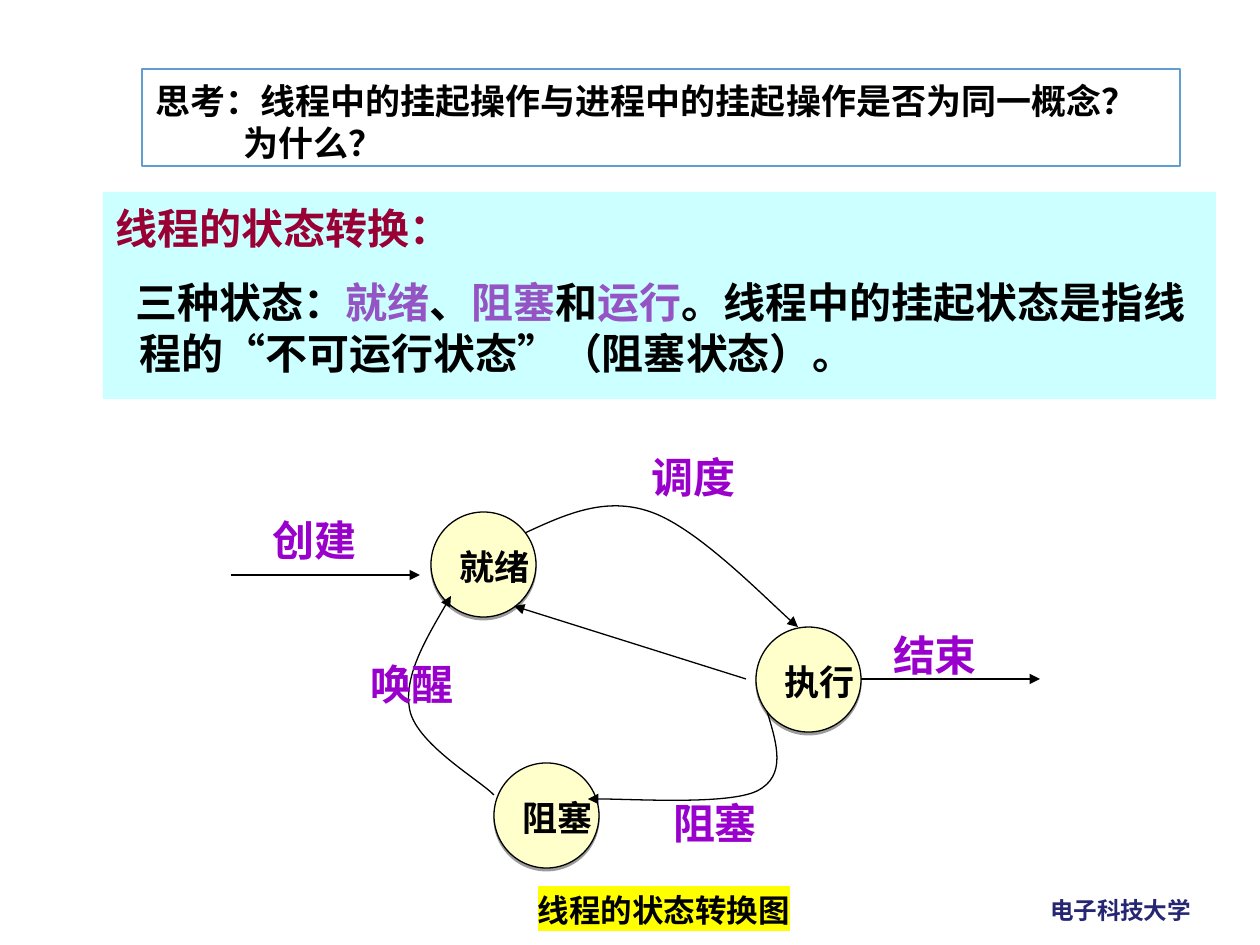
from lxml import etree
from pptx import Presentation
from pptx.dml.color import RGBColor
from pptx.enum.lang import MSO_LANGUAGE_ID as Lang
from pptx.enum.shapes import MSO_CONNECTOR as Conn, MSO_SHAPE as Shape
from pptx.enum.text import MSO_ANCHOR as Anchor, PP_ALIGN as Align
from pptx.oxml import parse_xml
from pptx.oxml.ns import nsdecls, qn
from pptx.util import Pt

SCALE = 914400 / 126
COLORS = {
    "black": "000000", "white": "FFFFFF", "cyan": "CCFFFF", "cream": "FFFFCC",
    "wine": "990033", "lilac": "9454C3", "violet": "9900CC", "navy": "262673",
    "blue": "629DD1", "yellow": "FFFF00",
}
CJK = "Noto Sans CJK SC"
SERIF = "Times New Roman"


def px(n):
    return round(n * SCALE)


def rgb(name):
    return RGBColor.from_string(COLORS[name])


def add_run(para, text, size, color="black", font="Arial", mark=None):
    run = para.add_run()
    run.text = text
    face = run.font
    face.size, face.bold, face.name = Pt(size), True, font
    face.color.rgb = rgb(color)
    face.language_id = Lang.SIMPLIFIED_CHINESE
    props = run._r.get_or_add_rPr()
    latin = props.find(qn("a:latin"))
    latin.addnext(parse_xml(f'<a:ea {nsdecls("a")} typeface="{CJK}"/>'))
    if mark:
        latin.addprevious(parse_xml(
            f'<a:highlight {nsdecls("a")}><a:srgbClr val="{COLORS[mark]}"/></a:highlight>'))


def fill_text(shape, paras, size, wrap=True, anchor=Anchor.TOP, gap=0, **style):
    """Each paragraph is (left margin, first-line indent, [(text, overrides)])."""
    frame = shape.text_frame
    frame.word_wrap, frame.vertical_anchor = wrap, anchor
    frame.margin_left = frame.margin_right = px(13)
    frame.margin_top, frame.margin_bottom = px(6 + round(size * 0.18)), px(6)
    for i, (left, first, runs) in enumerate(paras):
        para = frame.add_paragraph() if i else frame.paragraphs[0]
        para.alignment = Align.LEFT
        para.line_spacing = Pt(round(size * 1.21))
        if i:
            para.space_before = Pt(gap)
        props = para._p.get_or_add_pPr()
        props.set("marL", str(px(left)))
        props.set("indent", str(px(first)))
        for text, extra in runs:
            add_run(para, text, size, **{**style, **extra})


def add_label(slide, box, text, size, **style):
    shape = slide.shapes.add_textbox(*map(px, box))
    fill_text(shape, [(0, 0, [(text, {})])], size, wrap=False, **style)


def add_panel(slide, kind, box, fill, edge=None, width=0.75):
    shape = slide.shapes.add_shape(kind, *map(px, box))
    shape.shadow.inherit = False
    shape.fill.solid()
    shape.fill.fore_color.rgb = rgb(fill)
    if edge:
        shape.line.color.rgb = rgb(edge)
        shape.line.width = Pt(width)
    else:
        shape.line.fill.background()
    return shape


def style_line(shape):
    shape.line.color.rgb = rgb("black")
    shape.line.width = Pt(0.75)
    tip = etree.SubElement(shape.line._get_or_add_ln(), qn("a:tailEnd"))
    tip.set("type", "triangle")


def add_arrow(slide, start, end):
    line = slide.shapes.add_connector(Conn.STRAIGHT, *map(px, start + end))
    style_line(line)
    etree.SubElement(line._element.spPr, qn("a:effectLst"))


def add_curve(slide, points):
    """Draw a chain of cubic curves: a start, then two handles and an end each."""
    pen = slide.shapes.build_freeform(*map(px, points[0]))
    pen.add_line_segments([(px(x), px(y)) for x, y in points[1:]], close=False)
    curve = pen.convert_to_shape()
    steps = list(curve._element.iter(qn("a:lnTo")))
    for i in range(0, len(steps), 3):
        bend = etree.Element(qn("a:cubicBezTo"))
        steps[i].addprevious(bend)
        for step in steps[i:i + 3]:
            bend.append(step[0])
            step.getparent().remove(step)
    curve.shadow.inherit = False
    curve.fill.background()
    style_line(curve)


def add_state(slide, x, y, text):
    side = 105
    disc = add_panel(slide, Shape.OVAL, (x, y, side, side), "cream", "black")
    effect = disc._element.spPr.find(qn("a:effectLst"))
    effect.append(parse_xml(
        f'<a:outerShdw {nsdecls("a")} dist="20320" dir="5400000" algn="t" rotWithShape="0">'
        f'<a:srgbClr val="{COLORS["black"]}"><a:alpha val="38000"/></a:srgbClr></a:outerShdw>'))
    fill_text(disc, [(0, 0, [(text, {})])], 20, wrap=False,
              anchor=Anchor.MIDDLE, font=SERIF)


def draw_topic(slide, box):
    panel = add_panel(slide, Shape.RECTANGLE, box, "cyan")
    lilac, serif = {"color": "lilac"}, {"font": SERIF}
    fill_text(panel, [
        (24, -24, [("线程的状态转换：", {"color": "wine"})]),
        (24, -4, [("三种状态：", {}), ("就绪", lilac), ("、", {}), ("阻塞", lilac),
                  ("和", {}), ("运行", lilac), ("。线程中的挂起状态是指线程的", {}),
                  ("“", serif), ("不可运行状态", {}), ("”", serif),
                  ("（阻塞状态）。", {})]),
    ], 24, gap=13.5)


def draw_states(slide, box):
    left, top = box[:2]

    def at(x, y):
        return left + x, top + y

    # States
    for x, y, text in [(200, 71, "就绪"), (525, 186, "执行"), (263, 322, "阻塞")]:
        add_state(slide, *at(x, y), text)
    # Curved transitions
    for points in [
        [(294, 92), (335, 73), (375, 55), (420, 71), (466, 87), (543, 166), (567, 186)],
        [(263, 354), (250, 340), (187, 304), (179, 270), (172, 237), (196, 196), (220, 155)],
        [(536, 270), (546, 303), (556, 335), (526, 350), (497, 364), (385, 357), (357, 358)],
    ]:
        add_curve(slide, [at(*p) for p in points])
    # Straight transitions
    for start, end in [((630, 238), (809, 238)), ((0, 134), (189, 134)),
                       ((515, 238), (283, 165))]:
        add_arrow(slide, at(*start), at(*end))
    # Transition names
    for x, y, text in [(408, 0, "调度"), (429, 346, "阻塞"), (126, 207, "唤醒"),
                       (29, 63, "创建"), (649, 178, "结束")]:
        add_label(slide, (*at(x, y), 110, 63), text, 24, color="violet", font=SERIF)


def draw_prompt(slide, box):
    panel = add_panel(slide, Shape.RECTANGLE, box, "white", "blue", 1)
    fill_text(panel, [
        (0, 0, [("思考：线程中的挂起操作与进程中的挂起操作是否为同一概念？", {})]),
        (88, 0, [("为什么？", {})]),
    ], 20)


def main():
    deck = Presentation()
    deck.slide_width, deck.slide_height = px(1260), px(945)
    slide = deck.slides.add_slide(deck.slide_layouts[6])
    add_label(slide, (1037, 888, 169, 42), "电子科技大学", 13.5, color="navy", font=CJK)
    draw_topic(slide, (103, 192, 1113, 207))
    draw_states(slide, (231, 441, 809, 427))
    draw_prompt(slide, (142, 69, 1038, 97))
    add_label(slide, (525, 881, 282, 50), "线程的状态转换图", 18, mark="yellow")
    deck.save("out.pptx")


if __name__ == "__main__":
    main()
